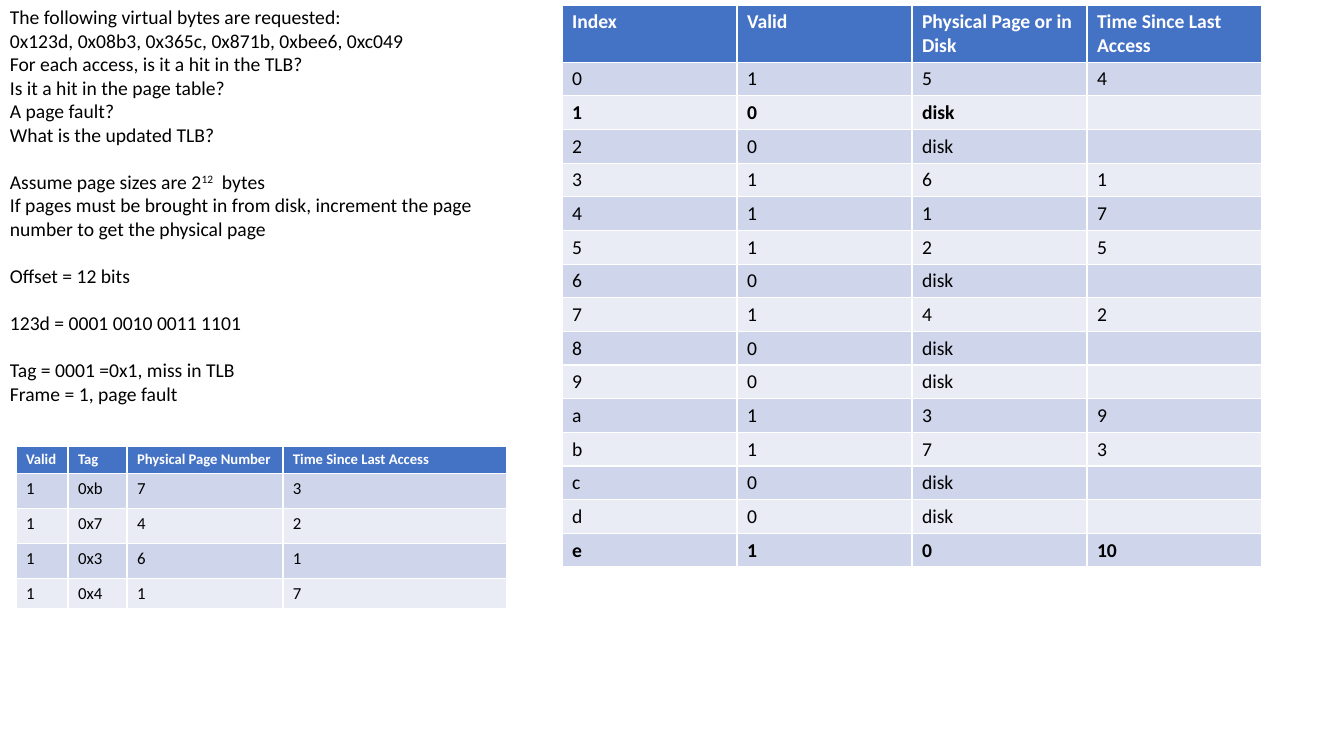
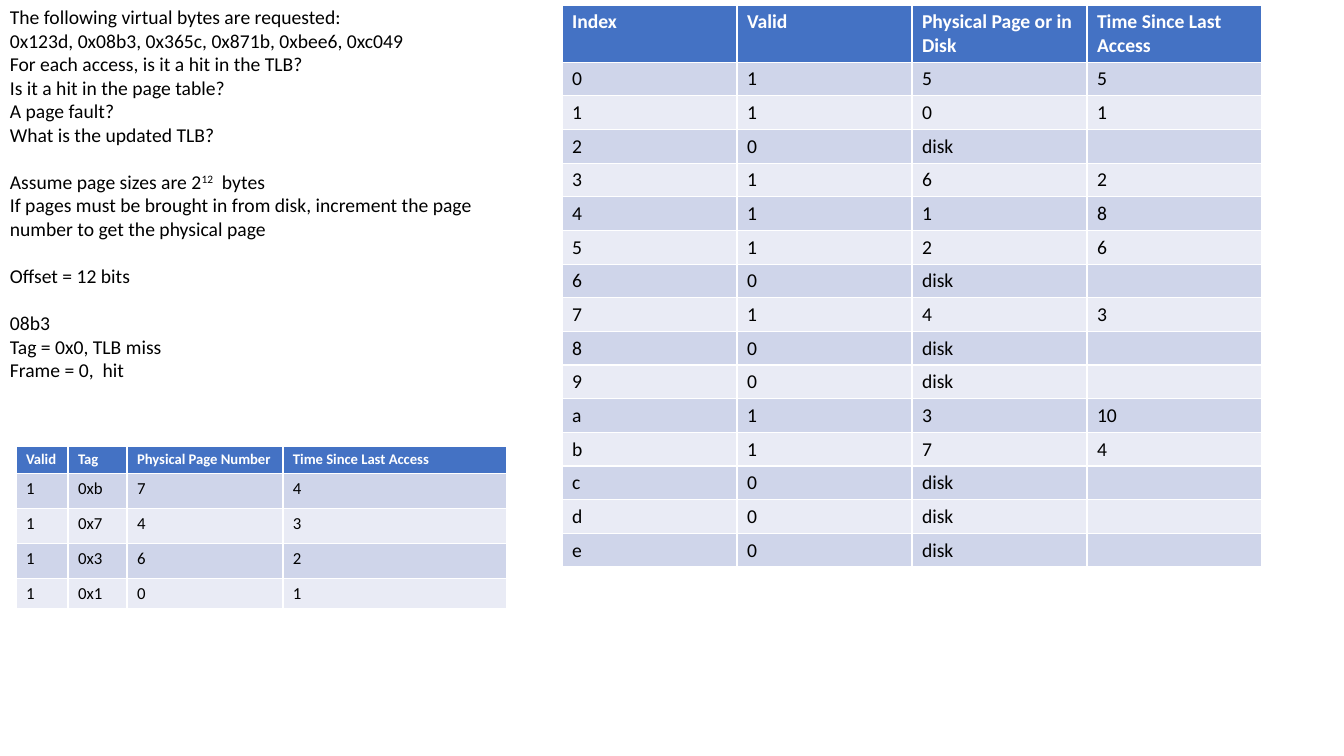
from pptx import Presentation
from pptx.dml.color import RGBColor
from pptx.enum.text import MSO_AUTO_SIZE
from pptx.util import Emu, Pt

FIT_SHAPE = MSO_AUTO_SIZE.SHAPE_TO_FIT_TEXT
EMU_PER_PX = 914400 / 100.8
FONT = "Calibri"
BLACK = RGBColor(0x00, 0x00, 0x00)
WHITE = RGBColor(0xFF, 0xFF, 0xFF)
HEADER_BLUE = RGBColor(0x44, 0x72, 0xC4)
BANDS = (RGBColor(0xCF, 0xD5, 0xEA), RGBColor(0xE9, 0xEB, 0xF5))
BODY_SIZE = 14
GROUP_GAP = 16.8  # one line of body text, in points

# Content: text comes in groups of lines, ^ encloses a superscript
QUESTION_GROUPS = [
    ["The following virtual bytes are requested:",
     "0x123d, 0x08b3, 0x365c, 0x871b, 0xbee6, 0xc049",
     "For each access, is it a hit in the TLB?",
     "Is it a hit in the page table?",
     "A page fault?",
     "What is the updated TLB?"],
    ["Assume page sizes are 2^12^  bytes",
     "If pages must be brought in from disk, increment the page number "
     "to get the physical page"],
    ["Offset = 12 bits"],
]
TLB_HEADER = ("Valid", "Tag", "Physical Page Number", "Time Since Last Access")
PAGE_HEADER = ("Index", "Valid", "Physical Page or in Disk",
               "Time Since Last Access")
PAGE_INDEXES = "0123456789abcde"

# tlb: tag, page, age; pages: index -> (page, age), all others are on disk
STEPS = [
    {
        "answer": [["123d = 0001 0010 0011 1101"],
                   ["Tag = 0001 =0x1, miss in TLB", "Frame = 1, page fault"]],
        "text_height": 414,
        "tlb": [("0xb", 7, 3), ("0x7", 4, 2), ("0x3", 6, 1), ("0x4", 1, 7)],
        "pages": {"0": (5, 4), "3": (6, 1), "4": (1, 7), "5": (2, 5),
                  "7": (4, 2), "a": (3, 9), "b": (7, 3), "e": (0, 10)},
        "bold_pages": "1e",
    },
    {
        "answer": [["08b3", "Tag = 0x0, TLB miss", "Frame = 0,  hit"]],
        "text_height": 390,
        "tlb": [("0xb", 7, 4), ("0x7", 4, 3), ("0x3", 6, 2), ("0x1", 0, 1)],
        "pages": {"0": (5, 5), "1": (0, 1), "3": (6, 2), "4": (1, 8),
                  "5": (2, 6), "7": (4, 3), "a": (3, 10), "b": (7, 4)},
        "bold_pages": "",
    },
]

# Layout in px
SLIDE_SIZE = (1344, 756)
TEXT_WIDTH = 526
TLB_LAYOUT = {"left": 16, "top": 446, "columns": [52, 59, 156, 224],
              "rows": [27, 35, 35, 35, 30], "header_size": 10.5,
              "body_size": 12}
PAGE_ROW = 505 / len(PAGE_INDEXES)
PAGE_LAYOUT = {"left": 562, "top": 5, "columns": [175] * 4,
               "rows": [57] + [PAGE_ROW] * len(PAGE_INDEXES),
               "header_size": BODY_SIZE, "body_size": BODY_SIZE}


def px(length):
    return Emu(round(length * EMU_PER_PX))


def style_font(font, size, color=BLACK, bold=False):
    font.name = FONT
    font.size = Pt(size)
    font.bold = bold
    font.color.rgb = color


def add_text(slide, groups, height):
    box = slide.shapes.add_textbox(0, 0, px(TEXT_WIDTH), px(height))
    frame = box.text_frame
    frame.word_wrap = True
    frame.auto_size = FIT_SHAPE
    paragraph = frame.paragraphs[0]
    for group_number, group in enumerate(groups):
        for line_number, line in enumerate(group):
            if group_number or line_number:
                paragraph = frame.add_paragraph()
            if group_number and not line_number:
                paragraph.space_before = Pt(GROUP_GAP)
            for part_number, part in enumerate(line.split("^")):
                run = paragraph.add_run()
                run.text = part
                style_font(run.font, BODY_SIZE)
                if part_number % 2:
                    run.font._element.set("baseline", "30000")


def fill_cell(cell, value, fill, size, color, bold):
    cell.fill.solid()
    cell.fill.fore_color.rgb = fill
    paragraph = cell.text_frame.paragraphs[0]
    if value == "":
        # An empty cell needs its own text size to keep the row low
        end = paragraph._p.get_or_add_endParaRPr()
        end.set("sz", str(size * 100))
        return
    paragraph.text = str(value)
    style_font(paragraph.runs[0].font, size, color, bold)


def add_table(slide, layout, header, body, bold_rows=()):
    columns, rows = layout["columns"], layout["rows"]
    table = slide.shapes.add_table(
        len(rows), len(columns), px(layout["left"]), px(layout["top"]),
        px(sum(columns)), px(sum(rows))).table
    for column, width in zip(table.columns, columns):
        column.width = px(width)
    for row, height in zip(table.rows, rows):
        row.height = px(height)
    for column, title in enumerate(header):
        fill_cell(table.cell(0, column), title, HEADER_BLUE,
                  layout["header_size"], WHITE, True)
    for row, values in enumerate(body):
        for column, value in enumerate(values):
            fill_cell(table.cell(row + 1, column), value, BANDS[row % 2],
                      layout["body_size"], BLACK, values[0] in bold_rows)


def page_rows(pages):
    for index in PAGE_INDEXES:
        yield (index, int(index in pages), *pages.get(index, ("disk", "")))


def main():
    presentation = Presentation()
    presentation.slide_width, presentation.slide_height = map(px, SLIDE_SIZE)
    blank = presentation.slide_layouts[6]
    for step in STEPS:
        slide = presentation.slides.add_slide(blank)
        add_text(slide, QUESTION_GROUPS + step["answer"], step["text_height"])
        add_table(slide, TLB_LAYOUT, TLB_HEADER,
                  [(1, *entry) for entry in step["tlb"]])
        add_table(slide, PAGE_LAYOUT, PAGE_HEADER, page_rows(step["pages"]),
                  list(step["bold_pages"]))
    presentation.save("out.pptx")


if __name__ == "__main__":
    main()
